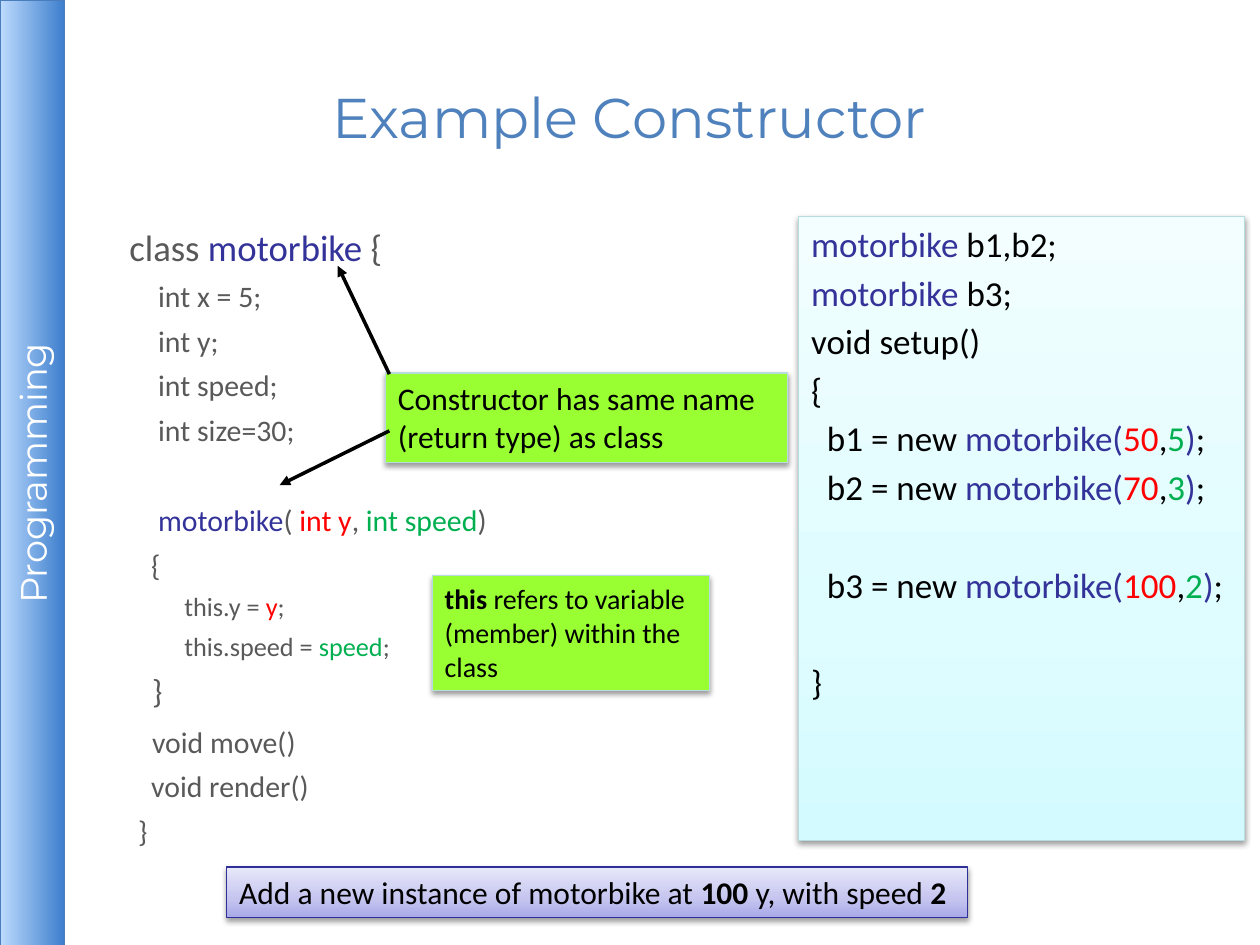
import copy
import lxml.etree
import pptx
import pptx.dml.color
import pptx.enum.shapes
import pptx.enum.text
import pptx.oxml.ns
import pptx.util

Pt = pptx.util.Pt
qn = pptx.oxml.ns.qn
ALIGN = pptx.enum.text.PP_ALIGN
ANCHOR = pptx.enum.text.MSO_ANCHOR

COLOURS = {
    "title": "4F81BD", "code": "595959", "black": "000000", "white": "FFFFFF",
    "name": "333399", "position": "FF0000", "speed": "00B050",
    "note": "99FF33", "panel line": "B6DCDF", "task line": "2F2F98", "bar line": "4A7DBB",
}
BAR_STOPS = [(0, "BDDBFE"), (100, "3E7FCD")]
PANEL_STOPS = [(0, "D3FBFF"), (35, "DFFCFF"), (100, "F2FEFF")]
TASK_STOPS = [(0, "A9A9E9"), (35, "C4C4EF"), (100, "E8E8FA")]

# Lines are (indent, size, space before, spans); spans are (text, colour) or (text, colour, bold)
CLASS_CODE = [
    (27, 21, 6, [("class ", "code"), ("motorbike", "name"), (" {", "code")]),
    (43.5, 17, 5.2, [("int x = 5;", "code")]),
    (43.5, 17, 5.2, [("int y;", "code")]),
    (43.5, 17, 5.2, [("int speed;", "code")]),
    (43.5, 17, 5.2, [("int size=30;", "code")]),
    (43.5, 17, 31, [("motorbike", "name"), ("( ", "code"), ("int y", "position"),
                    (", ", "code"), ("int speed", "speed"), (")", "code")]),
    (39.5, 17, 5.2, [("{", "code")]),
    (58.5, 15, 4.5, [("this.y = ", "code"), ("y", "position"), (";", "code")]),
    (58.5, 15, 4.5, [("this.speed = ", "code"), ("speed", "speed"), (";", "code")]),
    (40, 19, 5.2, [("}", "code")]),
    (40, 17, 7.5, [("void move()", "code")]),
    (39.5, 17, 5.2, [("void render()", "code")]),
    (32, 17, 5.2, [("}", "code")]),
]


def new_bike(variable, position, speed, space):
    return (9, 20, space, [
        (f"{variable} = new ", "black"), ("motorbike(", "name"), (position, "position"),
        (",", "black"), (speed, "speed"), (")", "name"), (";", "black")])


SETUP_CODE = [
    (0, 20, 3.7, [("motorbike", "name"), (" b1,b2;", "black")]),
    (0, 20, 3.7, [("motorbike ", "name"), ("b3;", "black")]),
    (0, 20, 3.7, [("void setup()", "black")]),
    (0, 20, 3.7, [("{", "black")]),
    new_bike("b1", "50", "5", 3.7),
    new_bike("b2", "70", "3", 3.7),
    new_bike("b3", "100", "2", 31.8),
    (0, 20, 31.8, [("}", "black")]),
]
TASK = [(0, 18, 0, [("Add a new instance of motorbike at ", "black"), ("100", "black", True),
                    (" y, with speed ", "black"), ("2", "black", True)])]
NAME_NOTE = [(0, 18, 0, [("Constructor has same name", "black")]),
             (0, 18, 0, [("(return type) as class", "black")])]
THIS_NOTE = [(0, 16, 0, [("this", "black", True), (" refers to variable", "black")]),
             (0, 16, 0, [("(member) within the class", "black")])]

# Boxes are (left, top, width, height), fill, line, lines of text, wrap
BOXES = [
    ((456.5, 123.8, 254.9, 356.4), PANEL_STOPS, "panel line", SETUP_CODE, True),
    ((129.6, 495.4, 423.4, 28.8), TASK_STOPS, "task line", TASK, False),
    ((220.3, 213.1, 229.7, 51.1), "note", "panel line", NAME_NOTE, True),
    ((247, 329, 158.4, 65.5), "note", "panel line", THIS_NOTE, True),
]
ARROWS = [(222.5, 246.2, 159.8, 277.2), (222.5, 213.8, 193, 151.9)]


def rgb(value):
    return pptx.dml.color.RGBColor.from_string(COLOURS.get(value, value))


def set_insets(frame, inset):
    frame.margin_left = frame.margin_right = Pt(inset)
    frame.margin_top = frame.margin_bottom = Pt(inset)


def write_lines(frame, lines):
    for index, (indent, size, space, spans) in enumerate(lines):
        para = frame.paragraphs[0] if index == 0 else frame.add_paragraph()
        para.alignment = ALIGN.LEFT
        para.space_before = Pt(space)
        para.font.name, para.font.size = "Calibri", Pt(size)
        properties = para._p.get_or_add_pPr()
        properties.set("marL", str(Pt(indent)))
        properties.set("indent", "0")
        for text, colour, *bold in spans:
            span = para.add_run()
            span.text = text
            span.font.color.rgb = rgb(colour)
            if bold:
                span.font.bold = True


def write_heading(frame, text, size, colour):
    frame.text = text
    frame.vertical_anchor = ANCHOR.MIDDLE
    set_insets(frame, 3)
    para = frame.paragraphs[0]
    para.alignment = ALIGN.CENTER
    para.font.name, para.font.size = "Montserrat", Pt(size)
    para.font.color.rgb = rgb(colour)


def fill_gradient(shape, stops, angle):
    shape.fill.gradient()
    shape.fill.gradient_angle = angle
    stop_list = shape._element.spPr.find(qn("a:gradFill")).find(qn("a:gsLst"))
    for _ in stops[2:]:
        stop_list.append(copy.deepcopy(stop_list[0]))
    for stop, (position, colour) in zip(shape.fill.gradient_stops, stops):
        stop.position = position / 100
        stop.color.rgb = rgb(colour)


def add_shadow(shape, opacity, blur, distance):
    shape.shadow.inherit = False
    effects = shape._element.spPr.find(qn("a:effectLst"))
    shadow = lxml.etree.SubElement(
        effects, qn("a:outerShdw"), blurRad=str(Pt(blur)), dist=str(Pt(distance)),
        dir="5400000", rotWithShape="0")
    colour = lxml.etree.SubElement(shadow, qn("a:srgbClr"), val=COLOURS["black"])
    lxml.etree.SubElement(colour, qn("a:alpha"), val=str(opacity * 1000))


def add_rectangle(page, place, fill, line, angle=90):
    box = page.shapes.add_shape(pptx.enum.shapes.MSO_SHAPE.RECTANGLE, *map(Pt, place))
    if isinstance(fill, list):
        fill_gradient(box, fill, angle)
    else:
        box.fill.solid()
        box.fill.fore_color.rgb = rgb(fill)
    box.line.color.rgb = rgb(line)
    box.line.width = Pt(0.75)
    return box


def add_arrow(page, ends):
    arrow = page.shapes.add_connector(
        pptx.enum.shapes.MSO_CONNECTOR.STRAIGHT, *map(Pt, ends))
    arrow.line.color.rgb = rgb("black")
    arrow.line.width = Pt(2)
    lxml.etree.SubElement(arrow.line._get_or_add_ln(), qn("a:tailEnd"), type="triangle")
    lxml.etree.SubElement(arrow._element.spPr, qn("a:effectLst"))


def main():
    deck = pptx.Presentation()
    deck.slide_width, deck.slide_height = Pt(720), Pt(540)
    page = deck.slides.add_slide(deck.slide_layouts[5])

    # Side bar, turned to read upwards
    bar = add_rectangle(page, (-252, 252, 540.7, 36.7), BAR_STOPS, "bar line", 270)
    bar.rotation = 270
    add_shadow(bar, 35, 0, 1.8)
    write_heading(bar.text_frame, "Programming", 21, "white")

    # Title
    title = page.shapes.title
    title.left, title.top, title.width, title.height = map(Pt, (36, 21.6, 648, 90))
    write_heading(title.text_frame, "Example Constructor", 32, "title")

    # Class code
    code = page.shapes.add_textbox(*map(Pt, (43.9, 125.3, 640, 377.3)))
    code.text_frame.word_wrap = True
    set_insets(code.text_frame, 3)
    write_lines(code.text_frame, CLASS_CODE)

    # Setup panel, task and notes
    for place, fill, line, lines, wrap in BOXES:
        box = add_rectangle(page, place, fill, line)
        add_shadow(box, 38, 3.1, 1.6)
        box.text_frame.word_wrap = wrap
        box.text_frame.vertical_anchor = ANCHOR.TOP
        write_lines(box.text_frame, lines)

    # Arrows from the constructor note
    for ends in ARROWS:
        add_arrow(page, ends)

    deck.save("out.pptx")


if __name__ == "__main__":
    main()
